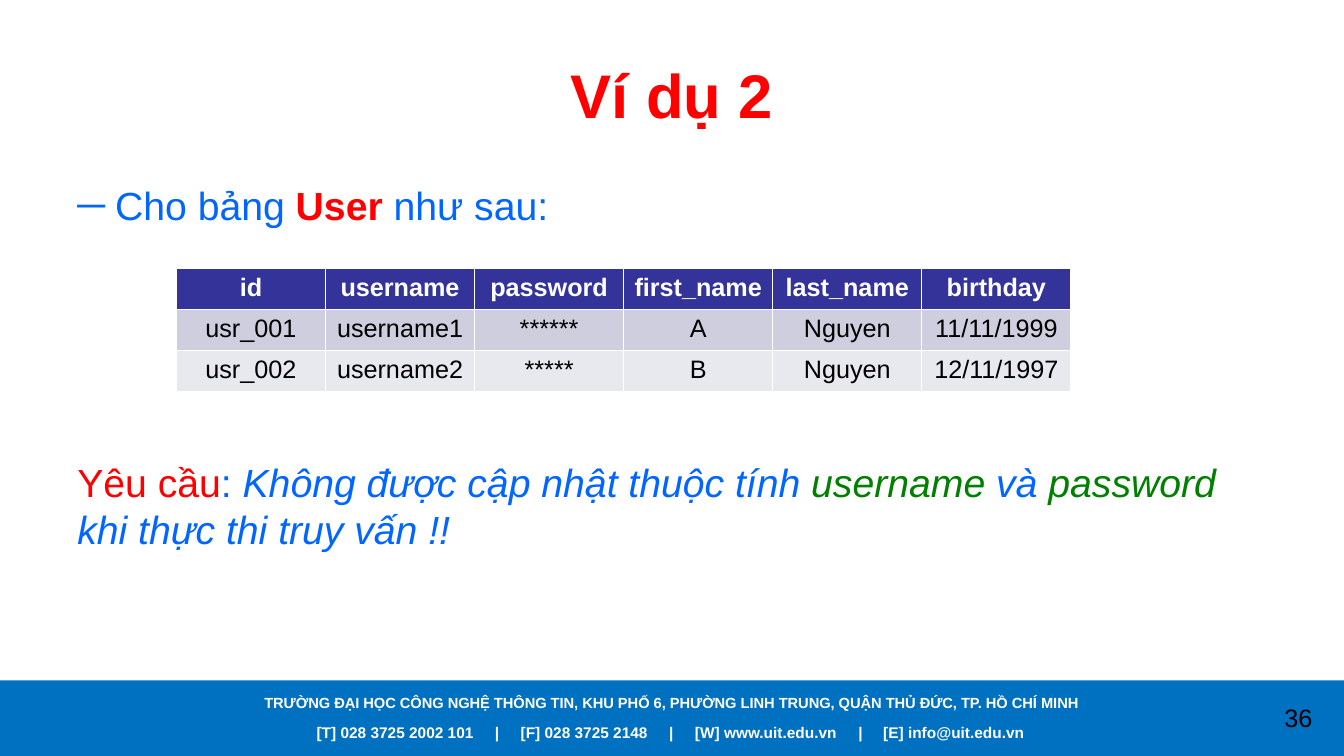
from lxml.etree import SubElement
from pptx import Presentation
from pptx.dml.color import RGBColor
from pptx.enum.shapes import MSO_SHAPE
from pptx.enum.text import MSO_ANCHOR, MSO_AUTO_SIZE, PP_ALIGN
from pptx.oxml.ns import qn
from pptx.util import Pt

PX = 9525
FONT = "Arial"
WHITE, BLACK, RED = "FFFFFF", "000000", "FF0000"
BLUE, GREEN, FOOTER_BLUE = "0066FF", "008000", "0070C0"
HEADER_FILL, BAND_FILLS = "333399", ("CECEDE", "E8E8EF")


def rgb(color):
    return RGBColor.from_string(color)


def px(*lengths):
    return [n * PX for n in lengths]


class SlideBuilder:
    """Holds the text style and the current slide, and adds each kind of element."""

    def __init__(self, prs):
        self.slide = prs.slides.add_slide(prs.slide_layouts[1])
        self.shapes = self.slide.shapes

    def style(self, r, size, color, bold=False, italic=False):
        r.font.name = FONT
        r.font.size = Pt(size)
        r.font.color.rgb = rgb(color)
        r.font.bold = bold
        r.font.italic = italic

    def set_text(self, p, text, size, color, bold=False, align=PP_ALIGN.CENTER):
        p.text = text
        p.alignment = align
        for r in p.runs:
            self.style(r, size, color, bold)

    def place(self, sp, *box):
        sp.left, sp.top, sp.width, sp.height = px(*box)
        sp.text_frame.word_wrap = True
        sp.text_frame.auto_size = MSO_AUTO_SIZE.NONE
        return sp.text_frame

    def title(self, text, *box):
        tf = self.place(self.shapes.title, *box)
        tf.vertical_anchor = MSO_ANCHOR.MIDDLE
        self.set_text(tf.paragraphs[0], text, 44, RED, True)

    def body(self, paragraphs, *box):
        tf = self.place(self.slide.placeholders[1], *box)
        tf.vertical_anchor = MSO_ANCHOR.TOP
        for i, (bullet, space, runs) in enumerate(paragraphs):
            p = tf.add_paragraph() if i else tf.paragraphs[0]
            p.alignment = PP_ALIGN.LEFT
            p.space_before = Pt(space)
            self.bullet(p, bullet)
            for text, color, bold, italic in runs:
                r = p.add_run()
                r.text = text
                self.style(r, 28, color, bold, italic)

    def bullet(self, p, char):
        pPr = p._p.get_or_add_pPr()
        indent = 36 * PX if char else 0
        pPr.set("marL", str(indent))
        pPr.set("indent", str(-indent))
        if char:
            SubElement(pPr, qn("a:buChar"), char=char)
        else:
            SubElement(pPr, qn("a:buNone"))

    def rect(self, color, *box):
        sp = self.shapes.add_shape(MSO_SHAPE.RECTANGLE, *px(*box))
        sp.shadow.inherit = False
        sp.fill.solid()
        sp.fill.fore_color.rgb = rgb(color)
        sp.line.fill.background()

    def text(self, text, size, color, bold, *box, tabs=()):
        tf = self.place(self.shapes.add_textbox(0, 0, 0, 0), *box)
        p = tf.paragraphs[0]
        self.set_text(p, text, size, color, bold,
                      PP_ALIGN.LEFT if tabs else PP_ALIGN.CENTER)
        if tabs:
            tab_list = SubElement(p._p.get_or_add_pPr(), qn("a:tabLst"))
            for pos in tabs:
                SubElement(tab_list, qn("a:tab"), pos=str(pos * PX), algn="ctr")

    def table(self, rows, left, top, col_width, row_height):
        n = len(rows[0])
        box = px(left, top, col_width * n, row_height * len(rows))
        table = self.shapes.add_table(len(rows), n, *box).table
        table.horz_banding = False
        for i, row in enumerate(rows):
            header = i == 0
            fill = HEADER_FILL if header else BAND_FILLS[(i - 1) % 2]
            for j, value in enumerate(row):
                cell = table.cell(i, j)
                cell.fill.solid()
                cell.fill.fore_color.rgb = rgb(fill)
                self.set_text(cell.text_frame.paragraphs[0], value, 18,
                              WHITE if header else BLACK, header)


def main():
    prs = Presentation()
    prs.slide_width, prs.slide_height = px(1280, 720)
    s = SlideBuilder(prs)

    s.rect(FOOTER_BLUE, 0, 648, 1280, 72)
    s.text("TRƯỜNG ĐẠI HỌC CÔNG NGHỆ THÔNG TIN, KHU PHỐ 6, PHƯỜNG LINH TRUNG, "
           "QUẬN THỦ ĐỨC, TP. HỒ CHÍ MINH", 10.5, WHITE, True, 0, 656, 1280, 27)
    contacts = ("[T] 028 3725 2002 101", "[F] 028 3725 2148",
                "[W] www.uit.edu.vn", "[E] info@uit.edu.vn")
    s.text("\t" + "\t|\t".join(contacts), 11, WHITE, True, 150, 684, 981, 28,
           tabs=(217, 314, 397, 480, 570, 660, 749))
    s.text("36", 18, BLACK, False, 1194, 664, 85, 38)

    s.title("Ví dụ 2", 64, 29, 1152, 120)
    s.body([
        ("─", 6, [
            ("Cho bảng ", BLUE, False, False),
            ("User ", RED, True, False),
            ("như sau:", BLUE, False, False),
        ]),
        (None, 164, [
            ("Yêu cầu", RED, False, False),
            (": ", BLUE, False, False),
            ("Không được cập nhật thuộc tính ", BLUE, False, True),
            ("username ", GREEN, False, True),
            ("và ", BLUE, False, True),
            ("password ", GREEN, False, True),
            ("khi thực thi truy vấn !!", BLUE, False, True),
        ]),
    ], 64, 168, 1152, 475)

    s.table([
        ("id", "username", "password", "first_name", "last_name", "birthday"),
        ("usr_001", "username1", "******", "A", "Nguyen", "11/11/1999"),
        ("usr_002", "username2", "*****", "B", "Nguyen", "12/11/1997"),
    ], 168, 256, 142, 39)

    prs.save("out.pptx")


if __name__ == "__main__":
    main()
